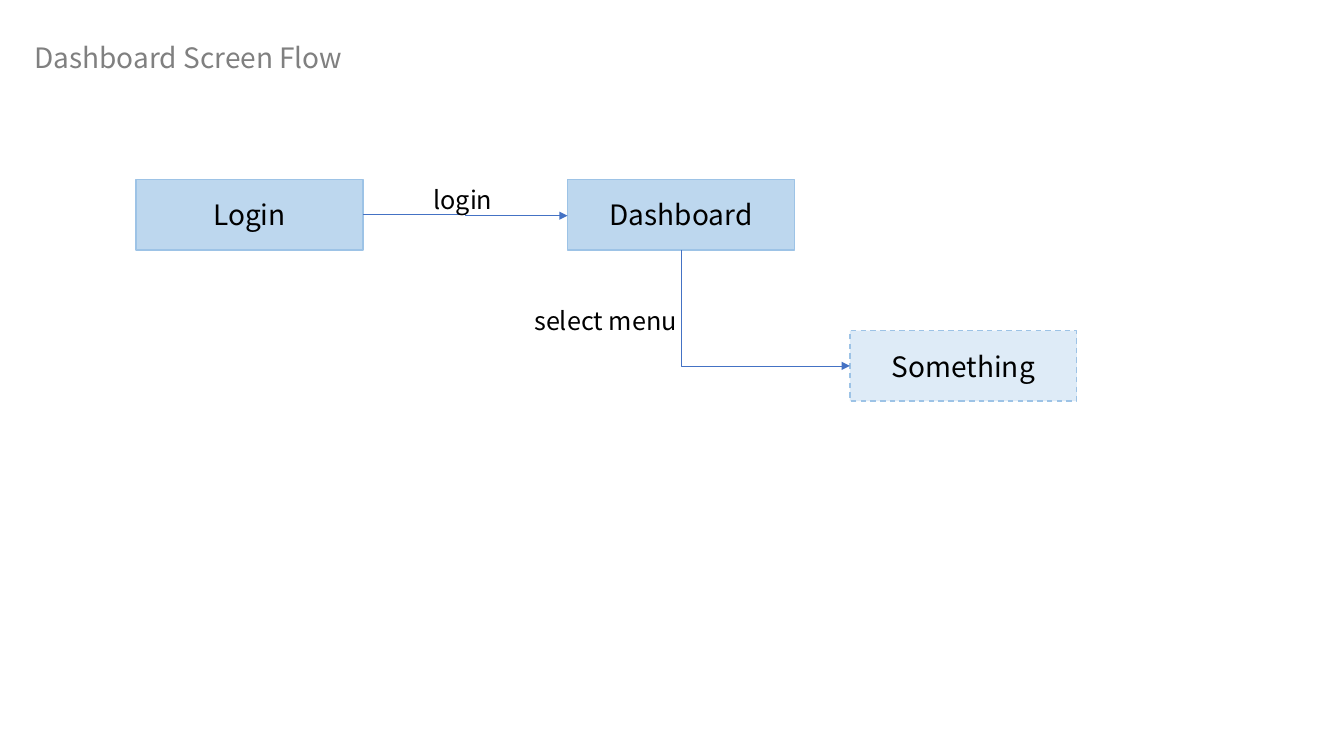
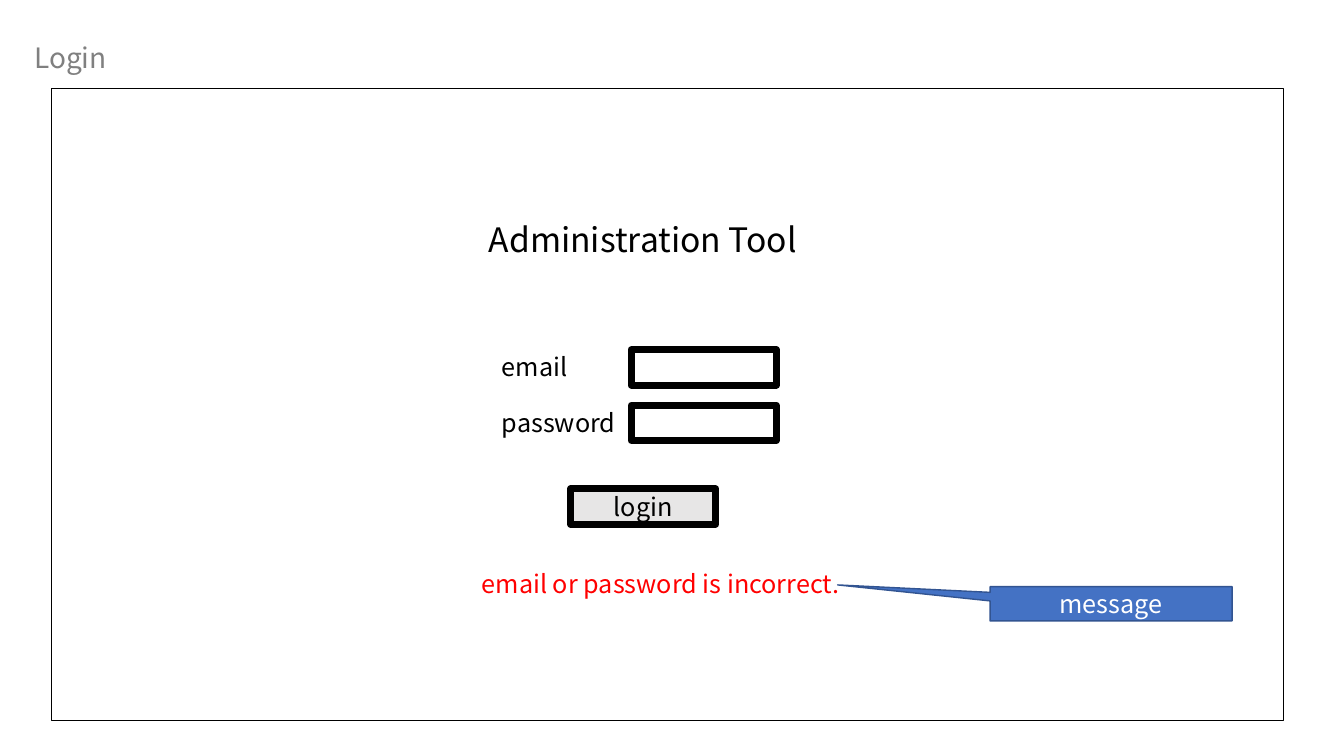
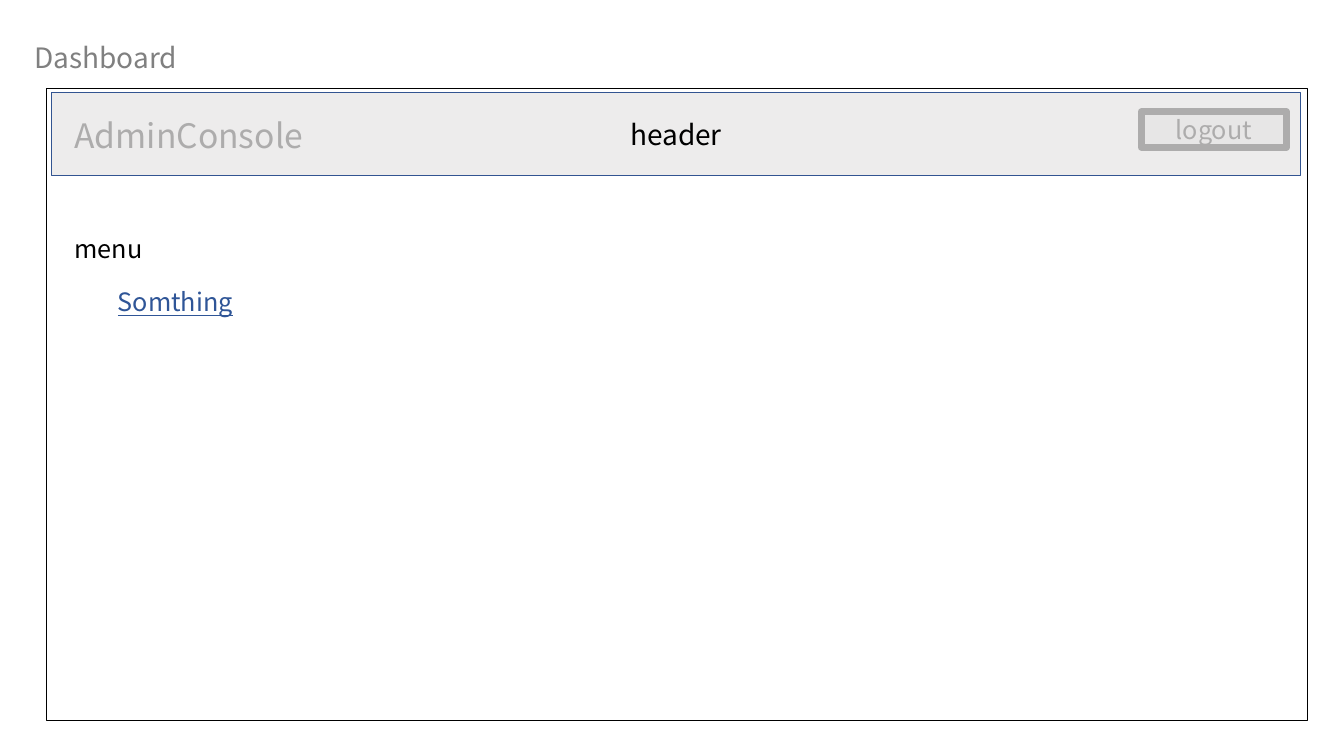
from dataclasses import dataclass
from pptx import Presentation
from pptx.dml.color import RGBColor
from pptx.enum.dml import MSO_LINE as Dash
from pptx.enum.shapes import MSO_CONNECTOR as Link, MSO_SHAPE as Form
from pptx.enum.text import MSO_ANCHOR as Anchor, MSO_AUTO_SIZE as Fit, PP_ALIGN as Align
from pptx.oxml.ns import qn
from pptx.util import Inches, Pt
from lxml.etree import SubElement


@dataclass(frozen=True)
class Theme:
    font: str = "Noto Sans CJK JP"
    black: str = "000000"
    white: str = "FFFFFF"
    gray: str = "808080"
    pale: str = "E7E6E6"
    red: str = "FF0000"
    blue: str = "4472C4"
    navy: str = "325491"
    menu: str = "2F5597"
    node: str = "BDD7EE"
    faint: str = "DEEBF7"
    rim: str = "9DC3E6"
    big: int = 24
    mid: int = 20
    body: int = 18
    hair: float = 0.5
    thin: int = 1
    thick: int = 5


@dataclass(frozen=True)
class Box:
    x: float
    y: float
    w: float
    h: float

    def sub(self, x, y, w, h):
        return Box(self.x + x, self.y + y, w, h)

    def args(self):
        return [Inches(n) for n in (self.x, self.y, self.w, self.h)]


T = Theme()
NODE_W, NODE_H = 2.25, 0.7
FIELD_W, FIELD_H = 1.44, 0.35
LINE_H = 0.4


def rgb(code):
    return RGBColor.from_string(code)


def write(frame, text, size, color, align, under=False):
    frame.word_wrap = True
    para = frame.paragraphs[0]
    para.alignment = align
    run = para.add_run()
    run.text = text
    font = run.font
    font.name, font.size = T.font, Pt(size)
    font.color.rgb = rgb(color)
    if under:
        font.underline = True


def label(slide, box, text, size=T.body, color=T.black, align=Align.LEFT, under=False):
    frame = slide.shapes.add_textbox(*box.args()).text_frame
    write(frame, text, size, color, align, under)
    frame.auto_size = Fit.SHAPE_TO_FIT_TEXT
    return frame


def panel(slide, box, fill=None, line=T.black, width=T.thin, text=None,
          size=T.body, color=T.black, form=Form.RECTANGLE):
    shape = slide.shapes.add_shape(form, *box.args())
    shape.shadow.inherit = False
    if fill:
        shape.fill.solid()
        shape.fill.fore_color.rgb = rgb(fill)
    else:
        shape.fill.background()
    shape.line.color.rgb = rgb(line)
    shape.line.width = Pt(width)
    if text:
        shape.text_frame.vertical_anchor = Anchor.MIDDLE
        write(shape.text_frame, text, size, color, Align.CENTER)
    return shape


def arrow(slide, x1, y1, x2, y2):
    ends = [Inches(n) for n in (x1, y1, x2, y2)]
    link = slide.shapes.add_connector(Link.ELBOW, *ends)
    link.line.color.rgb = rgb(T.blue)
    link.line.width = Pt(T.hair)
    SubElement(link.line._get_or_add_ln(), qn("a:tailEnd"), type="triangle")
    SubElement(link._element.spPr, qn("a:effectLst"))
    return link


def corner(slide, x1, y1, x2, y2):
    mid_x, mid_y = (x1 + x2) / 2, (y1 + y2) / 2
    half_w, half_h = (y2 - y1) / 2, (x2 - x1) / 2
    link = arrow(slide, mid_x + half_w, mid_y - half_h, mid_x - half_w, mid_y + half_h)
    props = link._element.spPr
    props.find(qn("a:prstGeom")).set("prst", "bentConnector2")
    props.find(qn("a:xfrm")).set("rot", str(270 * 60000))


def title(slide, box, text):
    frame = label(slide, box, text, T.mid, T.gray)
    frame.auto_size = Fit.NONE
    frame.vertical_anchor = Anchor.MIDDLE
    frame.margin_left = frame.margin_right = 0


def button(slide, box, text):
    panel(slide, box, T.pale, T.black, T.thick, text)


def flow(slide, box):
    start = box.sub(0, 0, NODE_W, NODE_H)
    home = box.sub(4.28, 0, NODE_W, NODE_H)
    goal = box.sub(7.08, 1.5, NODE_W, NODE_H)
    for spot, text, fill in ((start, "Login", T.node), (home, "Dashboard", T.node),
                             (goal, "Something", T.faint)):
        node = panel(slide, spot, fill, T.rim, T.thin, text, T.mid)
    node.line.dash_style = Dash.DASH
    mid = start.y + NODE_H / 2
    arrow(slide, start.x + NODE_W, mid, home.x, mid + 0.01)
    corner(slide, home.x + NODE_W / 2, home.y + NODE_H, goal.x, goal.y + NODE_H / 2)
    label(slide, box.sub(2.85, 0, 1.65, LINE_H), "login")
    label(slide, box.sub(3.85, 1.2, 1.65, LINE_H), "select menu")


def login(slide, box):
    panel(slide, box)
    label(slide, box.sub(3.56, 1.24, 4.61, 0.5), "Administration Tool", T.big,
          align=Align.CENTER)
    for row, text in enumerate(("email", "password")):
        top = 2.59 + row * 0.55
        panel(slide, box.sub(5.75, top, FIELD_W, FIELD_H), T.white, width=T.thick)
        label(slide, box.sub(4.37, top - 0.03, 2.92, LINE_H), text)
    button(slide, box.sub(5.15, 3.97, FIELD_W, FIELD_H), "login")
    label(slide, box.sub(4.17, 4.71, 3.91, LINE_H), "email or password is incorrect.",
          color=T.red)
    note = panel(slide, box.sub(9.31, 4.94, 2.4, 0.34), T.blue, T.navy, T.thin,
                 "message", color=T.white, form=Form.RECTANGULAR_CALLOUT)
    note.adjustments[0], note.adjustments[1] = -1.13, -0.55


def header(slide, box):
    label(slide, box.sub(0.13, 0.17, 4.61, 0.5), "AdminConsole", T.big)
    button(slide, box.sub(10.81, 0.19, FIELD_W, FIELD_H), "logout")
    veil = panel(slide, box, T.pale, T.navy, T.thin, "header", T.mid)
    tint = veil._element.spPr.find(qn("a:solidFill"))[0]
    SubElement(tint, qn("a:alpha"), val="75000")


def board(slide, box):
    panel(slide, box)
    label(slide, box.sub(0.61, 1.91, 2.92, LINE_H), "Somthing", color=T.menu, under=True)
    label(slide, box.sub(0.18, 1.39, 2.92, LINE_H), "menu")
    header(slide, box.sub(0.05, 0.04, 12.39, 0.82))


def main():
    deck = Presentation()
    deck.slide_width, deck.slide_height = Inches(13.33), Inches(7.5)
    pages = (
        ("Dashboard Screen Flow", flow, Box(1.35, 1.78, 9.33, 2.2)),
        ("Login", login, Box(0.51, 0.88, 12.22, 6.27)),
        ("Dashboard", board, Box(0.46, 0.88, 12.51, 6.27)),
    )
    for text, draw, box in pages:
        slide = deck.slides.add_slide(deck.slide_layouts[6])
        title(slide, Box(0.34, 0.37, 11.19, 0.39), text)
        draw(slide, box)
    deck.save("out.pptx")


main()
